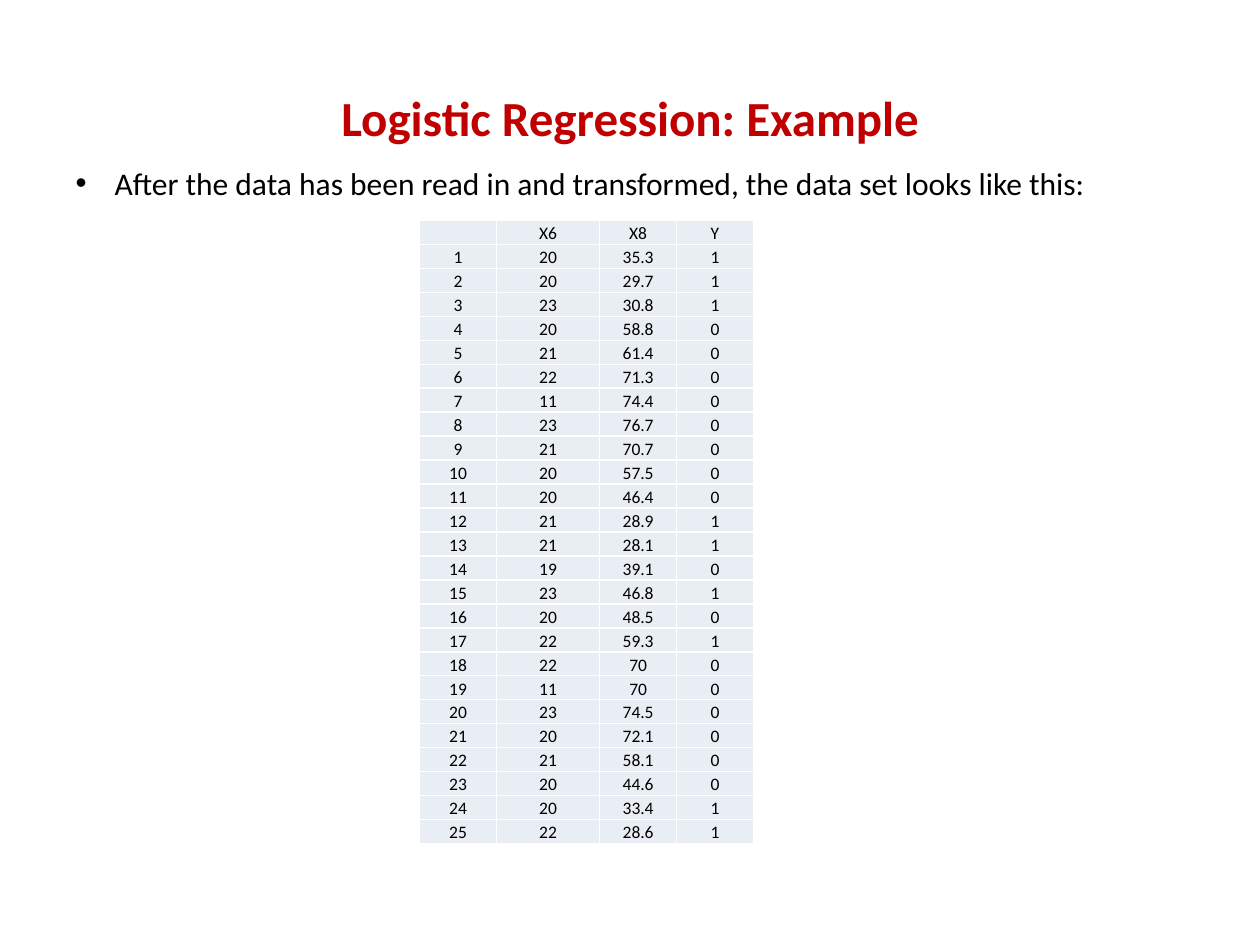
from typing import NamedTuple

from lxml import etree
from pptx import Presentation
from pptx.dml.color import RGBColor
from pptx.enum.text import MSO_ANCHOR, MSO_AUTO_SIZE, PP_ALIGN
from pptx.oxml.ns import qn
from pptx.util import Inches, Pt

LEFT, CENTER = PP_ALIGN.LEFT, PP_ALIGN.CENTER
TOP, MIDDLE, BOTTOM = MSO_ANCHOR.TOP, MSO_ANCHOR.MIDDLE, MSO_ANCHOR.BOTTOM
NO_FIT = MSO_AUTO_SIZE.NONE

FONT = "Calibri"
RED, BLACK, WHITE, PALE_BLUE = "C00000", "000000", "FFFFFF", "E9EDF4"


class Observation(NamedTuple):
    x6: int
    x8: float
    y: int


OBSERVATIONS = [Observation(*row) for row in (
    (20, 35.3, 1), (20, 29.7, 1), (23, 30.8, 1), (20, 58.8, 0), (21, 61.4, 0),
    (22, 71.3, 0), (11, 74.4, 0), (23, 76.7, 0), (21, 70.7, 0), (20, 57.5, 0),
    (20, 46.4, 0), (21, 28.9, 1), (21, 28.1, 1), (19, 39.1, 0), (23, 46.8, 1),
    (20, 48.5, 0), (22, 59.3, 1), (22, 70, 0), (11, 70, 0), (23, 74.5, 0),
    (20, 72.1, 0), (21, 58.1, 0), (20, 44.6, 0), (20, 33.4, 1), (22, 28.6, 1),
)]


def color(value: str) -> RGBColor:
    return RGBColor.from_string(value)


def put_text(tf, text: str, *, size: float, fill: str = BLACK,
             bold: bool = False, align=CENTER):
    """Write one formatted paragraph and return it."""
    p = tf.paragraphs[0]
    p.alignment = align
    if text:
        r = p.add_run()
        r.text = text
        r.font.name, r.font.size, r.font.bold = FONT, Pt(size), bold
        r.font.color.rgb = color(fill)
    else:
        # An empty cell still needs a small line height
        etree.SubElement(p._p, qn("a:endParaRPr"), sz=str(int(size * 100)))
    return p


def place(sp, left: float, top: float, width: float, height: float, anchor) -> None:
    sp.left, sp.top = Inches(left), Inches(top)
    sp.width, sp.height = Inches(width), Inches(height)
    tf = sp.text_frame
    tf.word_wrap, tf.auto_size, tf.vertical_anchor = True, NO_FIT, anchor


def add_bullet(p, indent: float) -> None:
    pPr = p._p.get_or_add_pPr()
    pPr.set("marL", str(Inches(indent)))
    pPr.set("indent", str(-Inches(indent)))
    etree.SubElement(pPr, qn("a:buFont"), typeface="Arial")
    etree.SubElement(pPr, qn("a:buChar"), char="•")


def set_borders(cell, value: str, width: float) -> None:
    tcPr = cell._tc.get_or_add_tcPr()
    for side in ("lnL", "lnR", "lnT", "lnB"):
        ln = etree.SubElement(tcPr, qn(f"a:{side}"), w=str(Pt(width)))
        fill = etree.SubElement(ln, qn("a:solidFill"))
        etree.SubElement(fill, qn("a:srgbClr"), val=value)


def format_cell(cell, text: str) -> None:
    cell.margin_left = cell.margin_right = cell.margin_top = Inches(0.01)
    cell.margin_bottom = 0
    cell.vertical_anchor = BOTTOM
    put_text(cell.text_frame, text, size=10)
    set_borders(cell, WHITE, 1)
    cell.fill.solid()
    cell.fill.fore_color.rgb = color(PALE_BLUE)


def add_data_table(s, left: float, top: float, height: float,
                   widths: list[float], rows: list[tuple]) -> None:
    frame = s.shapes.add_table(len(rows), len(widths), Inches(left), Inches(top),
                               Inches(sum(widths)), Inches(height))
    table = frame.table
    table.first_row = table.horz_banding = False
    for column, width in zip(table.columns, widths):
        column.width = Inches(width)
    for i, values in enumerate(rows):
        table.rows[i].height = Inches(height / len(rows))
        for j, value in enumerate(values):
            format_cell(table.cell(i, j), str(value))


prs = Presentation()
prs.slide_width, prs.slide_height = Inches(10), Inches(7.5)
s = prs.slides.add_slide(prs.slide_layouts[1])

# Title
title = s.shapes.title
place(title, 0.5, 0.3, 9, 1.25, MIDDLE)
put_text(title.text_frame, "Logistic Regression: Example", size=28, fill=RED, bold=True)

# Introductory bullet
body = s.placeholders[1]
place(body, 0.5, 1.25, 9, 0.4, TOP)
p = put_text(body.text_frame,
             "After the data has been read in and transformed, the data set looks like this:",
             size=18, align=LEFT)
p.space_before = Pt(0)
add_bullet(p, 0.31)

# Data set, numbered from 1
header = ("", *(name.upper() for name in Observation._fields))
numbered = [(n, *row) for n, row in enumerate(OBSERVATIONS, 1)]
add_data_table(s, 3.33, 1.75, 4.95, [0.61, 0.82, 0.61, 0.61], [header, *numbered])

prs.save("out.pptx")
